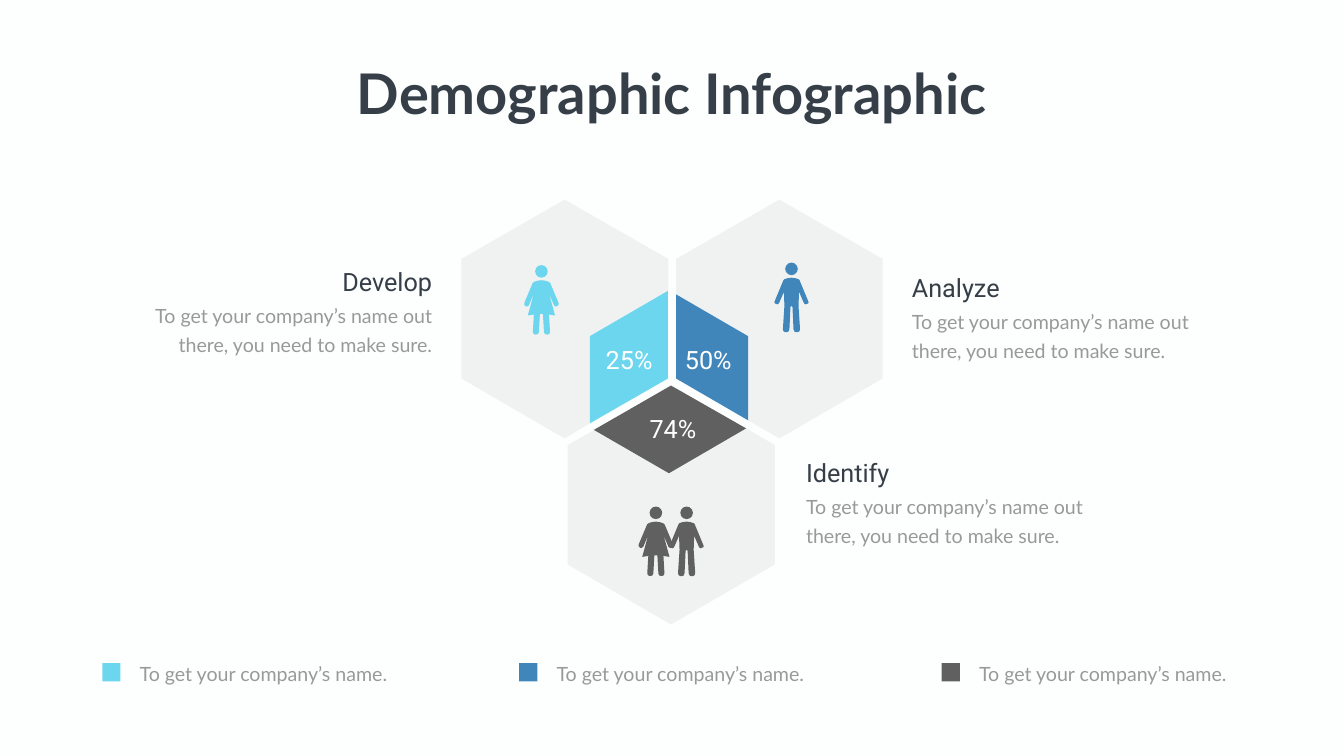
from dataclasses import dataclass

import lxml.etree
import pptx
import pptx.dml.color
import pptx.enum.shapes
import pptx.enum.text
import pptx.oxml.ns
import pptx.shapes.autoshape
import pptx.slide
import pptx.util

Inches = pptx.util.Inches
Color = pptx.dml.color.RGBColor
Align = pptx.enum.text.PP_ALIGN
Kind = pptx.enum.shapes.MSO_SHAPE
Points = list[tuple[float, float]]

PAPER = Color(0xFD, 0xFF, 0xFE)
WHITE = Color(0xFF, 0xFF, 0xFF)
INK = Color(0x36, 0x3E, 0x48)
MUTED = Color(0x99, 0x99, 0x99)
GRAY = Color(0x80, 0x80, 0x80)
CYAN = Color(0x6C, 0xD6, 0xEE)
BLUE = Color(0x41, 0x86, 0xBA)
DARK = Color(0x5F, 0x60, 0x5F)

MAN: Points = [
    (0, 0), (0.08, 0.01), (0.14, 0.03), (0.16, 0.05), (0.33, 0.46), (0.34, 0.49),
    (0.33, 0.51), (0.3, 0.52), (0.28, 0.53), (0.26, 0.52), (0.24, 0.49), (0.15, 0.28),
    (0.14, 0.56), (0.17, 1.02), (0.16, 1.06), (0.13, 1.08), (0.09, 1.08), (0.06, 1.07),
    (0.04, 1.02), (0.02, 0.58), (0, 0.56),
]
WOMAN: Points = [
    (0, 0), (0.08, 0.01), (0.14, 0.03), (0.17, 0.05), (0.18, 0.07), (0.34, 0.45),
    (0.34, 0.49), (0.31, 0.52), (0.28, 0.52), (0.25, 0.5), (0.15, 0.26), (0.27, 0.7),
    (0.15, 0.68), (0.17, 1.02), (0.16, 1.06), (0.12, 1.08), (0.07, 1.07), (0.05, 1.03),
    (0.03, 0.67), (0, 0.67),
]


@dataclass
class Cell:
    frame: Points
    share: Points
    color: Color
    label: str
    x: float
    y: float


@dataclass
class Note:
    head: str
    x: float
    y: float
    inset: float
    align: Align


@dataclass
class Person:
    half: Points
    x: float
    y: float
    color: Color


@dataclass
class Key:
    x: float
    color: Color


@dataclass
class Style:
    font: str
    size: float
    color: Color
    bold: bool = False
    lead: float | None = None


TITLE = Style("Lato", 80, INK, bold=True)
HEAD = Style("Roboto", 36, INK)
SHARE = Style("Roboto", 36, WHITE)
BODY = Style("Lato", 28, MUTED, lead=40.8)

CELLS = [
    Cell([(13.26, 5.77), (13.26, 5.14), (11.2, 3.96), (9.15, 5.14), (9.15, 7.51),
          (11.2, 8.7), (11.7, 8.4), (11.7, 6.67)],
         [(13.25, 5.77), (11.7, 6.67), (11.7, 8.4), (13.25, 7.51)],
         CYAN, "25%", 11.25, 6.78),
    Cell([(15.46, 3.96), (13.41, 5.14), (13.41, 5.84), (14.84, 6.67), (14.84, 8.34),
          (15.46, 8.7), (17.51, 7.51), (17.51, 5.14)],
         [(13.41, 5.84), (13.41, 7.51), (14.84, 8.34), (14.84, 6.67)],
         BLUE, "50%", 12.82, 6.78),
    Cell([(11.79, 8.53), (11.26, 8.83), (11.26, 11.2), (13.31, 12.39), (15.37, 11.2),
          (15.37, 8.83), (14.8, 8.5), (13.27, 9.39)],
         [(11.78, 8.53), (13.27, 9.39), (14.8, 8.5), (13.31, 7.65)],
         DARK, "74%", 12.12, 8.16),
]
NOTES = [
    Note("Analyze", 17.99, 5.35, 0, Align.LEFT),
    Note("Develop", 2.14, 5.24, 2.14, Align.RIGHT),
    Note("Identify", 15.89, 9.02, 0, Align.LEFT),
]
PEOPLE = [
    Person(MAN, 15.7, 5.51, BLUE),
    Person(WOMAN, 10.74, 5.56, CYAN),
    Person(MAN, 13.62, 10.35, DARK),
    Person(WOMAN, 13.01, 10.35, DARK),
]
KEYS = [Key(2.03, CYAN), Key(10.3, BLUE), Key(18.68, DARK)]


def paint(shape: pptx.shapes.autoshape.Shape, color: Color, alpha: int = 100) -> None:
    shape.shadow.inherit = False
    shape.fill.solid()
    shape.fill.fore_color.rgb = color
    shape.line.fill.background()
    if alpha < 100:
        tag = pptx.oxml.ns.qn("a:srgbClr")
        node = next(shape.fill._xPr.iter(tag))
        lxml.etree.SubElement(node, pptx.oxml.ns.qn("a:alpha"), val=str(alpha * 1000))


def outline(slide: pptx.slide.Slide, points: Points, color: Color, alpha: int = 100) -> None:
    spots = [(Inches(x), Inches(y)) for x, y in points]
    pen = slide.shapes.build_freeform(*spots[0])
    pen.add_line_segments(spots[1:], close=True)
    paint(pen.convert_to_shape(), color, alpha)


def block(slide: pptx.slide.Slide, kind: Kind, x: float, y: float, side: float,
          color: Color) -> None:
    shape = slide.shapes.add_shape(kind, Inches(x), Inches(y), Inches(side), Inches(side))
    paint(shape, color)


def write(slide: pptx.slide.Slide, words: str, x: float, y: float, wide: float, high: float,
          style: Style, align: Align = Align.LEFT, pad: tuple[float, float] = (0.1, 0.05),
          wrap: bool = True) -> None:
    box = slide.shapes.add_textbox(Inches(x), Inches(y), Inches(wide), Inches(high))
    frame = box.text_frame
    frame.word_wrap = wrap
    frame.auto_size = pptx.enum.text.MSO_AUTO_SIZE.SHAPE_TO_FIT_TEXT
    frame.margin_left = frame.margin_right = Inches(pad[0])
    frame.margin_top = frame.margin_bottom = Inches(pad[1])
    line = frame.paragraphs[0]
    line.alignment = align
    if style.lead:
        line.line_spacing = pptx.util.Pt(style.lead)
    run = line.add_run()
    run.text = words
    run.font.name = style.font
    run.font.size = pptx.util.Pt(style.size)
    run.font.bold = style.bold
    run.font.color.rgb = style.color


def person(slide: pptx.slide.Slide, who: Person) -> None:
    right = [(who.x + x, who.y + y) for x, y in who.half]
    left = [(who.x - x, who.y + y) for x, y in who.half[-2:0:-1]]
    outline(slide, right + left, who.color)
    block(slide, Kind.OVAL, who.x - 0.125, who.y - 0.3, 0.25, who.color)


def main() -> None:
    deck = pptx.Presentation()
    deck.slide_width, deck.slide_height = Inches(26.66), Inches(15)
    slide = deck.slides.add_slide(deck.slide_layouts[6])
    slide.background.fill.solid()
    slide.background.fill.fore_color.rgb = PAPER

    for cell in CELLS:
        outline(slide, cell.frame, GRAY, 10)
    for cell in CELLS:
        outline(slide, cell.share, cell.color)
    for note in NOTES:
        write(slide, "To get your company’s name out there, you need to make sure.",
              note.x, note.y + 0.65, 6.53, 1.19, BODY, note.align)
        write(slide, note.head, note.x + note.inset, note.y, 4.39, 0.71, HEAD, note.align)
    for cell in CELLS:
        write(slide, cell.label, cell.x, cell.y, 2.46, 0.71, SHARE, Align.CENTER)
    for key in KEYS:
        write(slide, "To get your company’s name.", key.x + 0.5, 12.92, 5.79, 0.75, BODY,
              pad=(0.24, 0.12))
        block(slide, Kind.RECTANGLE, key.x, 13.16, 0.36, key.color)
    for who in PEOPLE:
        person(slide, who)
    write(slide, "Demographic Infographic", 6.86, 1.12, 12.93, 1.45, TITLE, Align.CENTER,
          wrap=False)
    deck.save("out.pptx")


if __name__ == "__main__":
    main()
